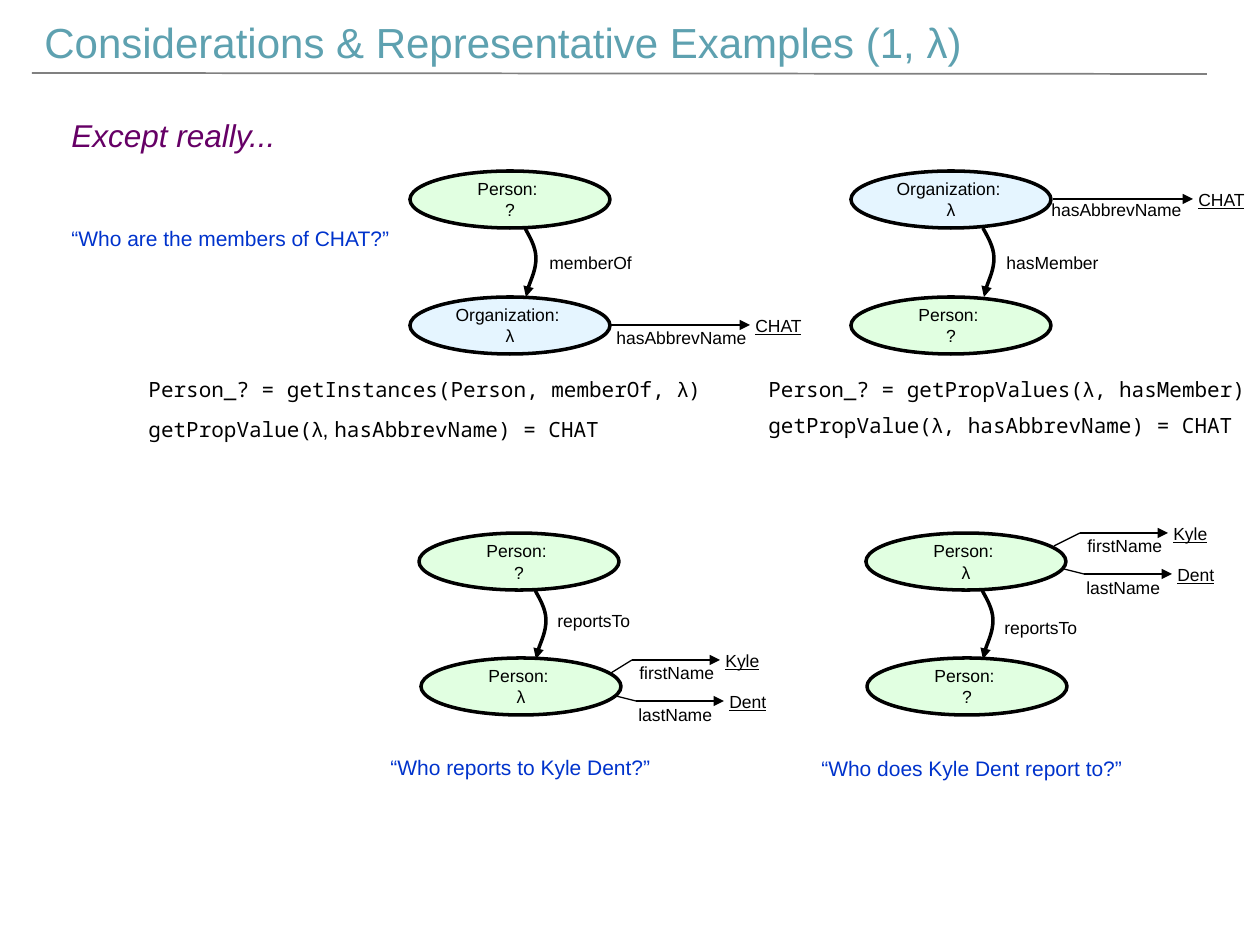
from pptx import Presentation
from pptx.dml.color import RGBColor
from pptx.enum.shapes import MSO_CONNECTOR, MSO_SHAPE
from pptx.enum.text import MSO_ANCHOR, MSO_AUTO_SIZE, PP_ALIGN
from pptx.oxml.ns import qn
from pptx.util import Emu, Pt
from lxml.etree import SubElement

SCALE = 914400 / 126  # EMU per px
SANS, MONO = "Arial", "Noto Sans Mono"
BLACK = RGBColor(0x00, 0x00, 0x00)
GRAY = RGBColor(0x80, 0x80, 0x80)
TEAL = RGBColor(0x5E, 0xA1, 0xB0)
BLUE = RGBColor(0x00, 0x33, 0xCC)
PURPLE = RGBColor(0x66, 0x00, 0x66)
GREEN_FILL = RGBColor(0xE1, 0xFF, 0xE1)
BLUE_FILL = RGBColor(0xE5, 0xF5, 0xFF)
FILLS = {"Person: ": GREEN_FILL, "Organization: ": BLUE_FILL}

# text, left, top, width, height, size, colour, italic
HEADINGS = [
    ("Considerations & Representative Examples (1, λ)", 32, 10, 955, 63, 24, TEAL, False),
    ("Except really...", 59, 110, 232, 50, 18, PURPLE, True),
    ("“Who are the members of CHAT?”", 59, 219, 346, 38, 12, BLUE, False),
    ("“Who reports to Kyle Dent?”", 378, 748, 289, 38, 12, BLUE, False),
    ("“Who does Kyle Dent report to?”", 809, 749, 329, 38, 12, BLUE, False),
]

# left, top, width, runs
CODE = [
    (136, 370, 588, [("Person_? = getInstances(Person, memberOf, ", MONO), ("λ", SANS), (")", MONO)]),
    (756, 370, 512, [("Person_? = getPropValues(", MONO), ("λ", SANS), (", hasMember)", MONO)]),
    (136, 410, 484, [("getPropValue(", MONO), ("λ, ", SANS), ("hasAbbrevName) = CHAT", MONO)]),
    (756, 406, 499, [("getPropValue(", MONO), ("λ", SANS), (", hasAbbrevName) = CHAT", MONO)]),
]

# upper and lower node (type, symbol, left, top), relation (label, left, top, width), curve left
GRAPHS = [
    (("Person: ", "?", 410, 171), ("Organization: ", "λ", 410, 297), ("memberOf", 537, 246, 108), 525),
    (("Organization: ", "λ", 851, 171), ("Person: ", "?", 851, 297), ("hasMember", 994, 246, 118), 983),
    (("Person: ", "?", 419, 533), ("Person: ", "λ", 421, 658), ("reportsTo", 545, 604, 101), 535),
    (("Person: ", "λ", 866, 533), ("Person: ", "?", 867, 658), ("reportsTo", 992, 611, 101), 982),
]
NODE_W, NODE_H = 200, 57
CURVE = [(0, 0), (3, 6), (11, 18), (11, 30), (11, 42), (1, 63), (1, 69)]

# label, its width and offset; value, its width; arrow left, top, length; stub offset
PROPERTIES = [
    ("hasAbbrevName", 156, (-6, -4), "CHAT", 73, 610, 325, 140, None),
    ("hasAbbrevName", 156, (-14, -6), "CHAT", 73, 1053, 199, 140, None),
]
for x, y, stub_x in [(632, 660, -21), (1080, 533, -26)]:
    PROPERTIES += [
        ("firstName", 101, (-5, -4), "Kyle", 59, x, y, 88, (stub_x, 13)),
        ("lastName", 100, (-10, -3), "Dent", 63, x + 4, y + 41, 88, (-20, -5)),
    ]


def px(n):
    return Emu(round(n * SCALE))


def add_run(p, text, size, color=BLACK, font=SANS, italic=None, underline=None):
    r = p.add_run()
    r.text = text
    r.font.name, r.font.size = font, Pt(size)
    r.font.color.rgb = color
    r.font.italic, r.font.underline = italic, underline


def add_text(x, y, w, h=34):
    tf = s.shapes.add_textbox(px(x), px(y), px(w), px(h)).text_frame
    tf.word_wrap = False
    tf.auto_size = MSO_AUTO_SIZE.SHAPE_TO_FIT_TEXT
    return tf.paragraphs[0]


def add_arrowhead(shape):
    SubElement(shape.line._get_or_add_ln(), qn("a:tailEnd"), type="triangle")


def add_line(x1, y1, x2, y2, color=BLACK, width=0.75, arrow=False):
    line = s.shapes.add_connector(MSO_CONNECTOR.STRAIGHT, px(x1), px(y1), px(x2), px(y2))
    line.line.color.rgb = color
    line.line.width = Pt(width)
    if arrow:
        add_arrowhead(line)
    SubElement(line._element.spPr, qn("a:effectLst"))


def add_node(kind, symbol, x, y):
    sp = s.shapes.add_shape(MSO_SHAPE.OVAL, px(x), px(y), px(NODE_W), px(NODE_H))
    sp.shadow.inherit = False
    sp.fill.solid()
    sp.fill.fore_color.rgb = FILLS[kind]
    sp.line.color.rgb = BLACK
    sp.line.width = Pt(2)
    tf = sp.text_frame
    tf.vertical_anchor = MSO_ANCHOR.MIDDLE
    for p, text in [(tf.paragraphs[0], kind), (tf.add_paragraph(), symbol)]:
        p.alignment = PP_ALIGN.CENTER
        add_run(p, text, 10)


def add_curve(x, y):
    points = [(px(x + dx), px(y + dy)) for dx, dy in CURVE]
    builder = s.shapes.build_freeform(*points[0])
    builder.add_line_segments(points[1:], close=False)
    sp = builder.convert_to_shape()
    sp.shadow.inherit = False
    sp.fill.background()
    sp.line.color.rgb = BLACK
    sp.line.width = Pt(2)
    add_arrowhead(sp)
    # Turn every three straight segments into one cubic Bezier
    path = sp._element.spPr.find(".//" + qn("a:path"))
    segments = path.findall(qn("a:lnTo"))
    for i in range(0, len(segments), 3):
        bezier = SubElement(path, qn("a:cubicBezTo"))
        for segment in segments[i:i + 3]:
            bezier.append(segment[0])
            path.remove(segment)


prs = Presentation()
prs.slide_width, prs.slide_height = px(1260), px(945)
s = prs.slides.add_slide(prs.slide_layouts[6])

# Title rule, headings and questions
add_line(32, 73, 1207, 74, GRAY, 1)
for text, x, y, w, h, size, color, italic in HEADINGS:
    add_run(add_text(x, y, w, h), text, size, color, italic=italic)

# Node pairs joined by a relation
for upper, lower, (label, x, y, w), curve_x in GRAPHS:
    add_node(*upper)
    add_node(*lower)
    add_curve(curve_x, upper[3] + NODE_H)
    add_run(add_text(x, y, w), label, 10)

# Property arrows with their values
for label, label_w, (dx, dy), value, value_w, x, y, length, stub in PROPERTIES:
    add_line(x, y, x + length, y, arrow=True)
    if stub:
        add_line(x + stub[0], y + stub[1], x, y)
    add_run(add_text(x + dx, y + dy, label_w), label, 10)
    add_run(add_text(x + length - 7, y - 16, value_w), value, 10, underline=True)

# Query code
for x, y, w, runs in CODE:
    p = add_text(x, y, w, 38)
    for text, font in runs:
        add_run(p, text, 12, font=font)

prs.save("out.pptx")
